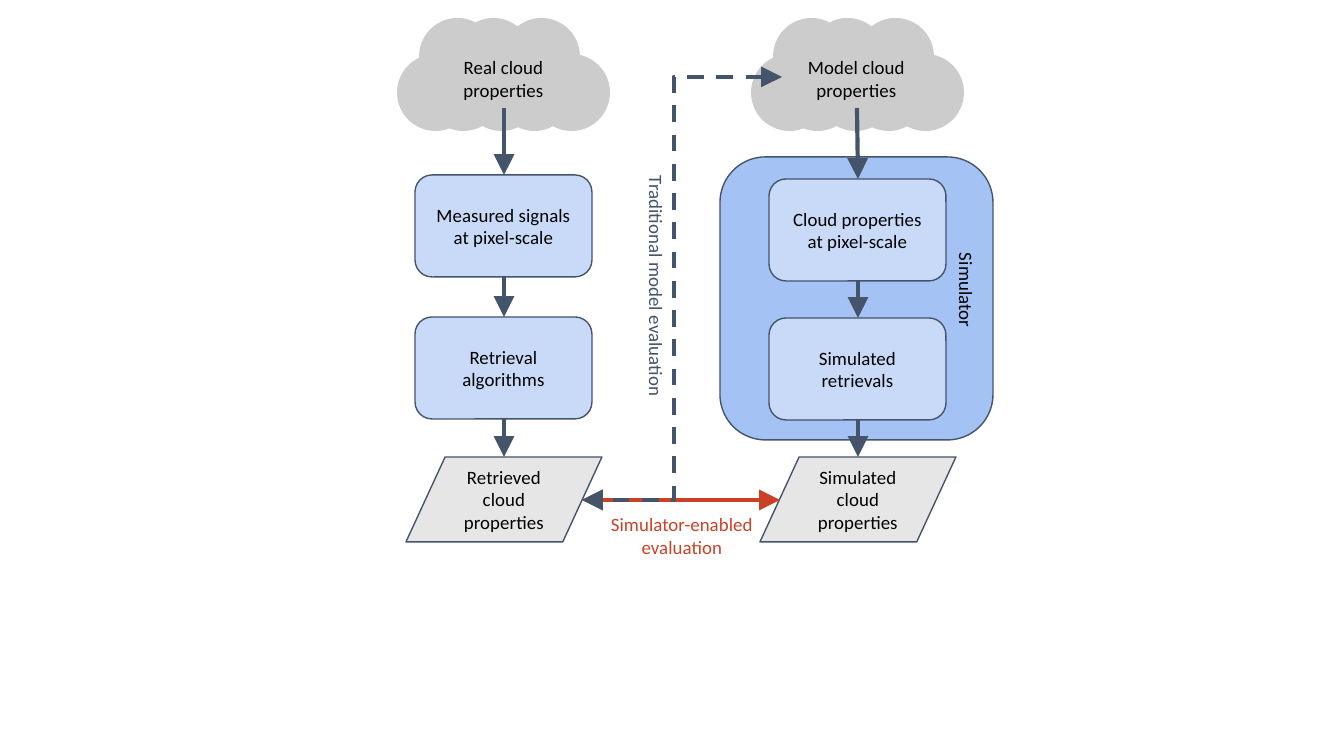
import pptx
import pptx.dml.color
import pptx.enum.dml
import pptx.enum.shapes
import pptx.enum.text
import pptx.oxml.ns
import pptx.util
from lxml import etree

RGBColor = pptx.dml.color.RGBColor
SHAPE = pptx.enum.shapes.MSO_SHAPE
CONNECTOR = pptx.enum.shapes.MSO_CONNECTOR
ANCHOR = pptx.enum.text.MSO_ANCHOR
ALIGN = pptx.enum.text.PP_ALIGN

CONTAINER_BLUE = RGBColor(0xA4, 0xC2, 0xF4)
PROCESS_BLUE = RGBColor(0xC9, 0xDA, 0xF8)
CLOUD_GREY = RGBColor(0xCC, 0xCC, 0xCC)
DATA_GREY = RGBColor(0xE7, 0xE6, 0xE6)
SLATE = RGBColor(0x44, 0x54, 0x6A)
RED = RGBColor(0xCC, 0x41, 0x25)
BLACK = RGBColor(0, 0, 0)

PIXELS_PER_INCH = 134.4
PUFF_SIZE = 77
PUFFS = [(28, 36), (66, 36), (99, 36), (136, 36), (106, 0), (58, 0), (0, 36), (22, 0)]


def emu(pixels):
    """Convert pixels to EMU."""
    return pptx.util.Emu(round(pixels * 914400 / PIXELS_PER_INCH))


def set_attributes(target, values):
    """Set each attribute named in a dict."""
    for name, value in values.items():
        setattr(target, name, value)


def write_text(shape, text, color=BLACK, align=ALIGN.CENTER, anchor=ANCHOR.MIDDLE):
    """Write one paragraph for each line of the text."""
    frame = shape.text_frame
    margins = {f"margin_{side}": emu(10) for side in ("left", "top", "right", "bottom")}
    set_attributes(frame, {"word_wrap": True, "vertical_anchor": anchor, **margins})
    frame.text = text
    for paragraph in frame.paragraphs:
        paragraph.alignment = align
        set_attributes(paragraph.font, {"name": "Calibri", "size": pptx.util.Pt(10.14)})
        paragraph.font.color.rgb = color


def add_box(slide, kind, box, fill, line=SLATE, text=None):
    """Add a filled preset shape, outlined and labelled on request."""
    shape = slide.shapes.add_shape(kind, *map(emu, box))
    shape.shadow.inherit = False
    shape.fill.solid()
    shape.fill.fore_color.rgb = fill
    if line is None:
        shape.line.fill.background()
    else:
        shape.line.color.rgb = line
        shape.line.width = pptx.util.Pt(0.75)
    if text:
        write_text(shape, text)


def add_label(slide, box, text, color=BLACK, align=ALIGN.CENTER, rotation=0):
    """Add a free text label."""
    label = slide.shapes.add_textbox(*map(emu, box))
    label.rotation = rotation
    write_text(label, text, color, align, ANCHOR.TOP)


def add_cloud(slide, left, top):
    """Add a cloud made of overlapping circles."""
    for across, down in PUFFS:
        box = (left + across, top + down, PUFF_SIZE, PUFF_SIZE)
        add_box(slide, SHAPE.OVAL, box, CLOUD_GREY, None)


def add_arrow(slide, start, end, color=SLATE, kind=CONNECTOR.STRAIGHT,
              ends=("tailEnd",), dash=None, bend=None):
    """Add an arrow with large triangular heads at the given ends."""
    arrow = slide.shapes.add_connector(kind, *map(emu, start + end))
    arrow.line.color.rgb = color
    set_attributes(arrow.line, {"width": pptx.util.Pt(2.25), "dash_style": dash})
    qualified = pptx.oxml.ns.qn
    properties = arrow._element.spPr
    line = properties.find(qualified("a:ln"))
    for name in ends:
        etree.SubElement(line, qualified(f"a:{name}"), type="triangle", w="lg", len="lg")
    etree.SubElement(properties, qualified("a:effectLst"))
    if bend is not None:
        geometry = properties.find(qualified("a:prstGeom"))
        guides = geometry.find(qualified("a:avLst"))
        if guides is None:
            guides = etree.SubElement(geometry, qualified("a:avLst"))
        etree.SubElement(guides, qualified("a:gd"), name="adj1", fmla=f"val {bend}")


def add_column(slide, left, heading_left, tops, heading, steps, result):
    """Add one cloud-to-result flow."""
    center = left + 107
    add_cloud(slide, left, 18)
    for top, step in zip(tops, steps):
        add_box(slide, SHAPE.ROUNDED_RECTANGLE, (left + 18, top, 177, 102), PROCESS_BLUE, text=step)
    add_box(slide, SHAPE.FLOWCHART_DATA, (left + 9, 457, 196, 85), DATA_GREY, text=result)
    add_label(slide, (heading_left, 46, 149, 62), heading)
    starts = [(heading_left + 75, 108)] + [(center, top + 102) for top in tops]
    for start, end in zip(starts, tops + [457]):
        add_arrow(slide, start, (center, end))


def main():
    """Build the cloud evaluation slide."""
    presentation = pptx.Presentation()
    set_attributes(presentation, {"slide_width": emu(1344), "slide_height": emu(756)})
    slide = presentation.slides.add_slide(presentation.slide_layouts[6])

    add_box(slide, SHAPE.ROUNDED_RECTANGLE, (720, 157, 273, 283), CONTAINER_BLUE)
    add_column(slide, 397, 429, [175, 317], "Real cloud properties",
               ["Measured signals at pixel-scale", "Retrieval algorithms"],
               "Retrieved cloud properties")
    add_column(slide, 751, 782, [179, 318], "Model cloud properties",
               ["Cloud properties at pixel-scale", "Simulated retrievals"],
               "Simulated\ncloud properties")

    both_ends = ("headEnd", "tailEnd")
    add_arrow(slide, (582, 500), (780, 500), RED, ends=both_ends)
    add_arrow(slide, (782, 77), (582, 500), kind=CONNECTOR.ELBOW, ends=both_ends,
              dash=pptx.enum.dml.MSO_LINE.DASH, bend=54100)
    add_label(slide, (906, 273, 112, 52), "Simulator", align=ALIGN.LEFT, rotation=90)
    add_label(slide, (524, 278, 266, 42), "Traditional model evaluation",
              SLATE, ALIGN.LEFT, 90)
    add_label(slide, (584, 503, 196, 40), "Simulator-enabled evaluation", RED)
    presentation.save("out.pptx")


main()
